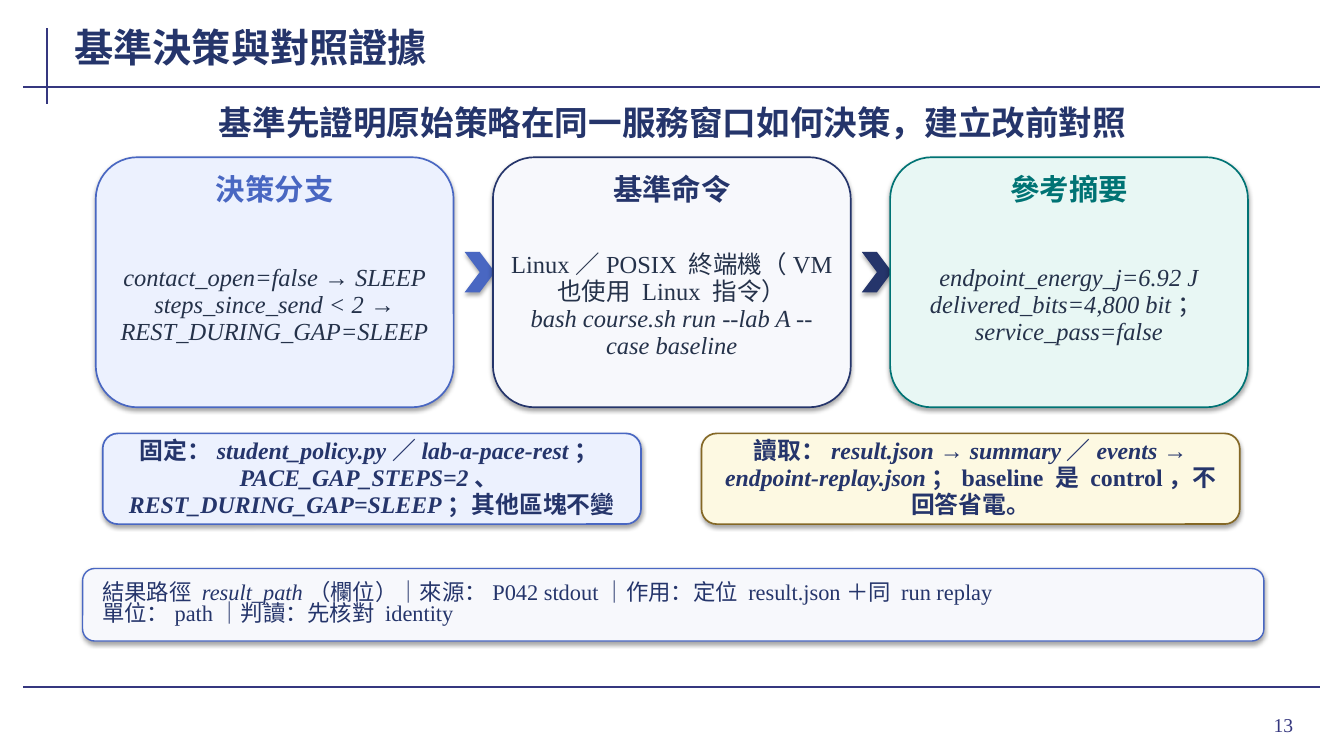
from lxml import etree
from pptx import Presentation
from pptx.dml.color import RGBColor
from pptx.enum.shapes import MSO_CONNECTOR, MSO_SHAPE
from pptx.enum.text import MSO_ANCHOR, MSO_AUTO_SIZE, PP_ALIGN
from pptx.oxml import parse_xml
from pptx.oxml.ns import nsdecls, qn
from pptx.util import Pt

LEFT, CENTER, RIGHT = PP_ALIGN.LEFT, PP_ALIGN.CENTER, PP_ALIGN.RIGHT
MIDDLE = MSO_ANCHOR.MIDDLE
ROUNDED, CHEVRON = MSO_SHAPE.ROUNDED_RECTANGLE, MSO_SHAPE.CHEVRON
STRAIGHT = MSO_CONNECTOR.STRAIGHT
FONT = "Times New Roman"
COLORS = {
    "rule": "35377F", "navy": "25356B", "blue": "4967C2", "teal": "007374",
    "brown": "846826", "ink": "25324A", "pale_blue": "ECF1FE",
    "pale_gray": "F7F8FC", "pale_teal": "E8F7F4", "pale_yellow": "FDF9E2",
}

# Content; *asterisks* enclose italic text
TITLE = "基準決策與對照證據"
SUBTITLE = "基準先證明原始策略在同一服務窗口如何決策，建立改前對照"
PAGE = "13"
CARDS = [  # heading, accent, fill, lines
    ("決策分支", "blue", "pale_blue",
     ["*contact_open=false* → *SLEEP*",
      "*steps_since_send < 2* → *REST_DURING_GAP=SLEEP*"]),
    ("基準命令", "navy", "pale_gray",
     ["Linux／POSIX 終端機（VM 也使用 Linux 指令）",
      "*bash course.sh run --lab A --case baseline*"]),
    ("參考摘要", "teal", "pale_teal",
     ["*endpoint_energy_j=6.92 J*",
      "*delivered_bits=4,800 bit*；*service_pass=false*"]),
]
NOTES = [  # accent, fill, text
    ("blue", "pale_blue",
     "固定：*student_policy.py*／*lab-a-pace-rest*；*PACE_GAP_STEPS=2*、"
     "*REST_DURING_GAP=SLEEP*；其他區塊不變"),
    ("brown", "pale_yellow",
     "讀取：*result.json* → *summary*／*events* → *endpoint-replay.json*"
     "；baseline 是 control，不回答省電。"),
]
RESULT = ["結果路徑 *result_path*（欄位）｜來源：P042 stdout｜作用：定位 result.json＋同 run replay",
          "單位：path｜判讀：先核對 identity"]

# Geometry in points
RULES = [(33.8, 20.2, 33.8, 74.2), (16.6, 61.9, 943.2, 61.9),
         (16.6, 491, 943.2, 491)]
CARD_X, CARD_Y, CARD_W, CARD_H, CARD_STEP = 68.4, 112.3, 255.6, 178.6, 283.7
NOTE_X, NOTE_Y, NOTE_W, NOTE_H, NOTE_STEP = 73.4, 309.6, 384.5, 64.8, 427.7
TEXT_INSETS = (1.4, 0.7)


def rgb(name):
    return RGBColor.from_string(COLORS[name])


def write(sp, lines, size, color, align=CENTER, bold=False, spacing=None,
          insets=TEXT_INSETS):
    tf = sp.text_frame
    tf.word_wrap, tf.auto_size = True, MSO_AUTO_SIZE.NONE
    tf.vertical_anchor = MIDDLE
    tf.margin_left = tf.margin_right = Pt(insets[0])
    tf.margin_top = tf.margin_bottom = Pt(insets[1])
    for n, line in enumerate(lines):
        p = tf.add_paragraph() if n else tf.paragraphs[0]
        p.alignment = align
        if spacing:
            p.line_spacing = spacing
        for k, piece in enumerate(line.split("*")):
            if piece:
                r = p.add_run()
                r.text = piece
                r.font.name, r.font.size = FONT, Pt(size)
                r.font.bold, r.font.italic = bold, k % 2 == 1
                r.font.color.rgb = rgb(color)


def add_text(box, *args, **kwargs):
    write(s.shapes.add_textbox(*map(Pt, box)), *args, **kwargs)


def add_panel(kind, box, fill, line=None, width=1.2):
    sp = s.shapes.add_shape(kind, *map(Pt, box))
    sp.fill.solid()
    sp.fill.fore_color.rgb = rgb(fill)
    if line:
        sp.line.color.rgb = rgb(line)
        sp.line.width = Pt(width)
    else:
        sp.line.fill.background()
    sp._element.spPr.append(parse_xml(
        f'<a:effectLst {nsdecls("a")}><a:outerShdw blurRad="{Pt(3.1)}" '
        f'dist="{Pt(1.8)}" dir="5400000" algn="ctr" rotWithShape="0">'
        '<a:srgbClr val="000000"><a:alpha val="35000"/></a:srgbClr>'
        '</a:outerShdw></a:effectLst>'))
    return sp


prs = Presentation()
prs.slide_width, prs.slide_height = Pt(960), Pt(540)
s = prs.slides.add_slide(prs.slide_layouts[5])

# Frame rules and page number
for rule in RULES:
    c = s.shapes.add_connector(STRAIGHT, *map(Pt, rule))
    c.line.color.rgb = rgb("rule")
    c.line.width = Pt(1.5)
    etree.SubElement(c._element.spPr, qn("a:effectLst"))
add_text((861.1, 499, 69.8, 37.4), [PAGE], 14, "rule", RIGHT, insets=(7.2, 3.6))

# Title and subtitle
title = s.shapes.title
title.left, title.top, title.width, title.height = map(Pt, (51.8, 14.4, 745.2, 38.2))
write(title, [TITLE], 28, "navy", LEFT, bold=True, insets=(1.4, 0))
add_text((70.6, 72, 819.4, 30.2), [SUBTITLE], 24, "navy", bold=True)

# Cards, each followed by a chevron except the last
for i, (heading, accent, fill, lines) in enumerate(CARDS):
    x = CARD_X + i * CARD_STEP
    add_panel(ROUNDED, (x, CARD_Y, CARD_W, CARD_H), fill, accent)
    add_text((x + 7.2, CARD_Y + 8.7, CARD_W - 14.4, 27.4), [heading], 21, accent, bold=True)
    add_text((x + 10.1, CARD_Y + 41.8, CARD_W - 20.2, 128.2), lines, 17.5, "ink", spacing=0.92)
    if i < len(CARDS) - 1:
        add_panel(CHEVRON, (x + CARD_W + 7.9, 180, 21.6, 28.8), accent)

# Notes
for i, (accent, fill, text) in enumerate(NOTES):
    sp = add_panel(ROUNDED, (NOTE_X + i * NOTE_STEP, NOTE_Y, NOTE_W, NOTE_H), fill, accent)
    write(sp, [text], 17, "navy", bold=True, spacing=0.94, insets=(7.2, 2.9))

# Result path
sp = add_panel(ROUNDED, (59, 406.1, 843.8, 51.8), "pale_gray", "blue", 1)
write(sp, RESULT, 16, "navy", LEFT, spacing=0.78, insets=(11.5, 1.4))

prs.save("out.pptx")
